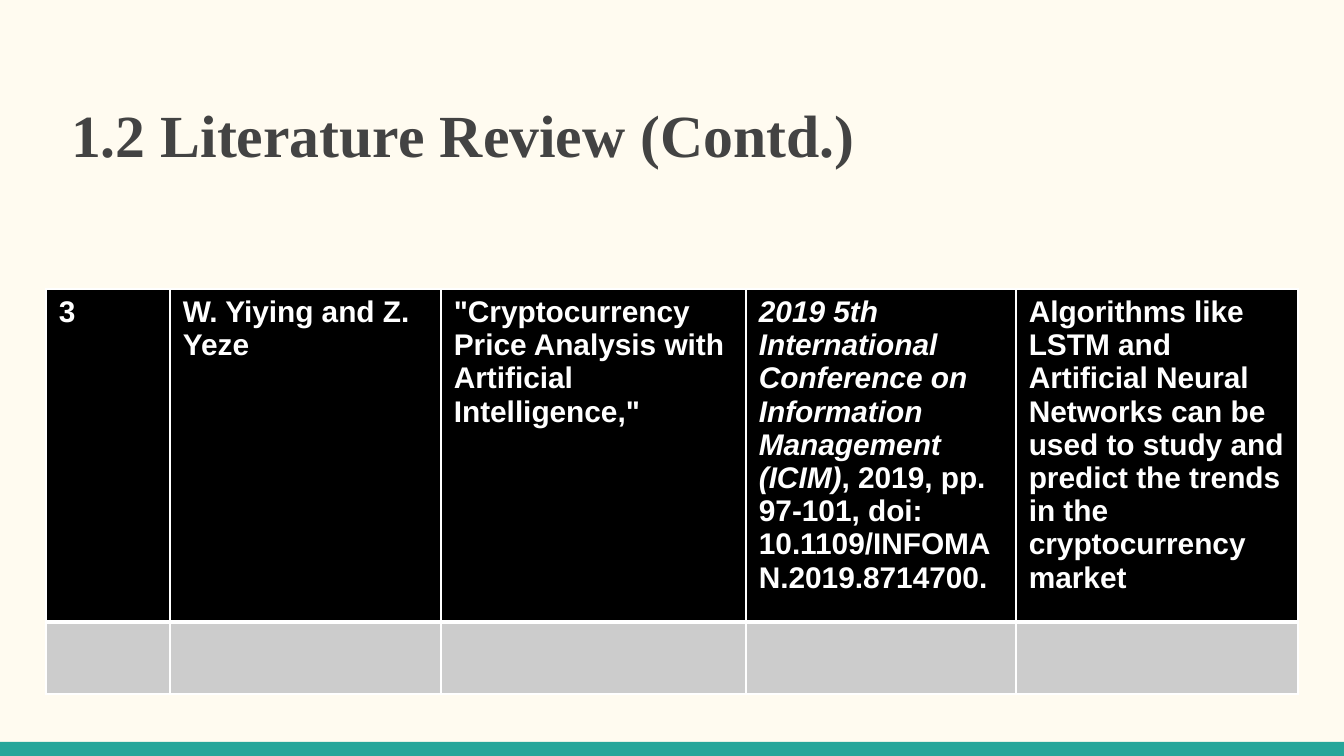
from dataclasses import dataclass

from lxml.etree import SubElement
from pptx import Presentation
from pptx.dml.color import RGBColor
from pptx.enum.shapes import MSO_SHAPE
from pptx.enum.text import MSO_ANCHOR, PP_ALIGN
from pptx.oxml.ns import qn
from pptx.util import Emu, Pt

EMU_PER_PX = 914400 / 134.4


def px(length):
    return Emu(round(length * EMU_PER_PX))


@dataclass(frozen=True)
class Theme:
    background: str = "FFFBF0"
    accent: str = "26A69A"
    heading: str = "434343"
    header_fill: str = "000000"
    body_fill: str = "CCCCCC"
    light: str = "FFFFFF"
    title_font: str = "Times New Roman"
    body_font: str = "Arial"
    title_size: int = 32
    body_size: int = 16


class SlideBuilder:
    def __init__(self, presentation, theme):
        self.theme = theme
        self.slide = presentation.slides.add_slide(presentation.slide_layouts[5])
        background = self.slide.background.fill
        background.solid()
        background.fore_color.rgb = RGBColor.from_string(theme.background)

    def style(self, font, name, size, color):
        font.name = name
        font.size = Pt(size)
        font.bold = True
        font.color.rgb = RGBColor.from_string(color)

    def bar(self, left, top, width, height):
        bar = self.slide.shapes.add_shape(
            MSO_SHAPE.RECTANGLE, px(left), px(top), px(width), px(height))
        bar.shadow.inherit = False
        bar.fill.solid()
        bar.fill.fore_color.rgb = RGBColor.from_string(self.theme.accent)
        bar.line.fill.background()

    def title(self, text, left, top, width, height):
        title = self.slide.shapes.title
        title.left, title.top = px(left), px(top)
        title.width, title.height = px(width), px(height)
        frame = title.text_frame
        frame.text = text
        frame.vertical_anchor = MSO_ANCHOR.TOP
        frame.margin_left = frame.margin_right = px(13)
        frame.margin_top = frame.margin_bottom = px(12)
        heading = frame.paragraphs[0]
        heading.alignment = PP_ALIGN.LEFT
        self.style(heading.font, self.theme.title_font,
                   self.theme.title_size, self.theme.heading)

    def borders(self, cell, bottom_width):
        properties = cell._tc.get_or_add_tcPr()
        widths = {"a:lnL": 1, "a:lnR": 1, "a:lnT": 1, "a:lnB": bottom_width}
        for position, (tag, width) in enumerate(widths.items()):
            line = SubElement(properties, qn(tag), w=str(Pt(width)))
            fill = SubElement(line, qn("a:solidFill"))
            SubElement(fill, qn("a:srgbClr"), val=self.theme.light)
            properties.insert(position, line)

    def cell(self, cell, runs, fill, bottom_width):
        cell.fill.solid()
        cell.fill.fore_color.rgb = RGBColor.from_string(fill)
        cell.margin_left = cell.margin_right = px(13)
        self.borders(cell, bottom_width)
        paragraph = cell.text_frame.paragraphs[0]
        self.style(paragraph.font, self.theme.body_font,
                   self.theme.body_size, self.theme.light)
        for text, italic in runs:
            run = paragraph.add_run()
            run.text = text
            if italic:
                run.font.italic = True

    def table(self, entry, left, top, column_widths, row_heights):
        table = self.slide.shapes.add_table(
            len(row_heights), len(column_widths), px(left), px(top),
            px(sum(column_widths)), px(sum(row_heights))).table
        for column, width in zip(table.columns, column_widths):
            column.width = px(width)
        for row, height in zip(table.rows, row_heights):
            row.height = px(height)
        for index, runs in enumerate(entry):
            self.cell(table.cell(0, index), runs, self.theme.header_fill, 3)
            self.cell(table.cell(1, index), [], self.theme.body_fill, 1)


def main():
    presentation = Presentation()
    presentation.slide_width, presentation.slide_height = px(1344), px(756)
    review = SlideBuilder(presentation, Theme())
    review.bar(0, 742, 1344, 14)
    review.title("1.2 Literature Review (Contd.)", 58, 86, 1226, 86)
    paper = [
        [("3", False)],
        [("W. Yiying and Z. Yeze", False)],
        [('"Cryptocurrency Price Analysis with Artificial Intelligence,"', False)],
        [("2019 5th International Conference on Information Management (ICIM)", True),
         (", 2019, pp. 97-101, doi: 10.1109/INFOMAN.2019.8714700.", False)],
        [("Algorithms like LSTM and Artificial Neural Networks can be used to "
          "study and predict the trends in the cryptocurrency market", False)],
    ]
    review.table(paper, 46, 289, [124, 271, 305, 270, 282], [333, 72])
    presentation.save("out.pptx")


if __name__ == "__main__":
    main()
